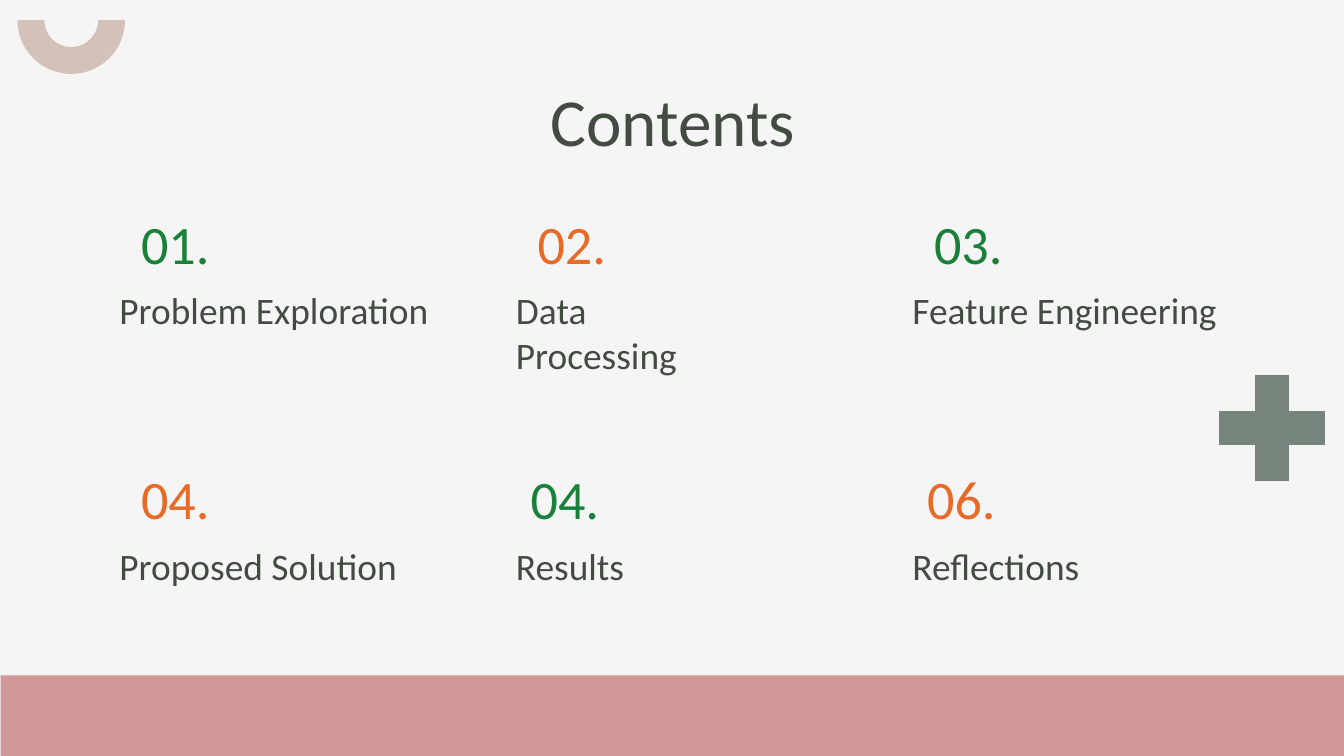
import pptx
import pptx.dml.color
import pptx.enum.shapes
import pptx.enum.text
import pptx.util

Inches = pptx.util.Inches
MSO_SHAPE = pptx.enum.shapes.MSO_SHAPE
ALIGN = pptx.enum.text.PP_ALIGN
ANCHOR = pptx.enum.text.MSO_ANCHOR

COLORS = {
    "background": "F5F5F5",
    "band": "D19898",
    "arc": "D3C1BA",
    "plus": "77847B",
    "text": "434B43",
    "green": "188038",
    "orange": "E76A28",
}


def add_filled_shape(kind, left, top, width, height, color):
    shape = page.shapes.add_shape(
        kind, Inches(left), Inches(top), Inches(width), Inches(height))
    shape.shadow.inherit = False
    shape.fill.solid()
    shape.fill.fore_color.rgb = pptx.dml.color.RGBColor.from_string(COLORS[color])
    shape.line.fill.background()
    return shape


def write(box, text, size, color, align, anchor=ANCHOR.TOP):
    frame = box.text_frame
    frame.text = text
    frame.word_wrap = True
    frame.auto_size = pptx.enum.text.MSO_AUTO_SIZE.NONE
    frame.vertical_anchor = anchor
    frame.margin_left = frame.margin_right = Inches(0.1)
    frame.margin_top = frame.margin_bottom = Inches(0.1)
    for para in frame.paragraphs:
        para.alignment = align
        for span in para.runs:
            span.font.name = "Calibri"
            span.font.size = pptx.util.Pt(size)
            span.font.color.rgb = pptx.dml.color.RGBColor.from_string(COLORS[color])


deck = pptx.Presentation()
deck.slide_width = Inches(10)
deck.slide_height = Inches(10 * 9 / 16)
page = deck.slides.add_slide(deck.slide_layouts[5])
page.background.fill.solid()
page.background.fill.fore_color.rgb = pptx.dml.color.RGBColor.from_string(
    COLORS["background"])

# Decoration: the band is an upright bar turned on its side
band = add_filled_shape(MSO_SHAPE.RECTANGLE, 4.71, 0.32, 0.6, 10.01, "band")
band.rotation = 90
arc = add_filled_shape(MSO_SHAPE.BLOCK_ARC, 0.13, -0.25, 0.8, 0.8, "arc")
arc.rotation = 180
plus = add_filled_shape(MSO_SHAPE.MATH_PLUS, 8.93, 2.65, 1.07, 1.07, "plus")
plus.adjustments[0] = 0.235

title = page.shapes.title
title.left, title.top = Inches(0.79), Inches(0.49)
title.width, title.height = Inches(8.43), Inches(0.63)
write(title, "Contents", 36, "text", ALIGN.CENTER)

# Contents grid: three columns, two rows, number colours alternating
entries = [
    ("01.", "Problem Exploration", ALIGN.CENTER),
    ("02.", "Data\nProcessing", ALIGN.CENTER),
    ("03.", "Feature Engineering", ALIGN.CENTER),
    ("04.", "Proposed Solution", ALIGN.CENTER),
    ("04.", "Results", ALIGN.LEFT),
    ("06.", "Reflections", ALIGN.LEFT),
]
for index, (number, label, number_align) in enumerate(entries):
    row, column = divmod(index, 3)
    left = 0.79 + 2.95 * column
    top = 1.4 + 1.9 * row
    number_box = add_filled_shape(
        MSO_SHAPE.RECTANGLE, left + 0.11, top, 0.81, 0.81, "background")
    write(number_box, number, 29, ("green", "orange")[index % 2],
          number_align, ANCHOR.MIDDLE)
    label_box = page.shapes.add_textbox(
        Inches(left), Inches(top + 0.64), Inches(2.52), Inches(0.54))
    write(label_box, label, 20, "text", ALIGN.LEFT)

deck.save("out.pptx")
